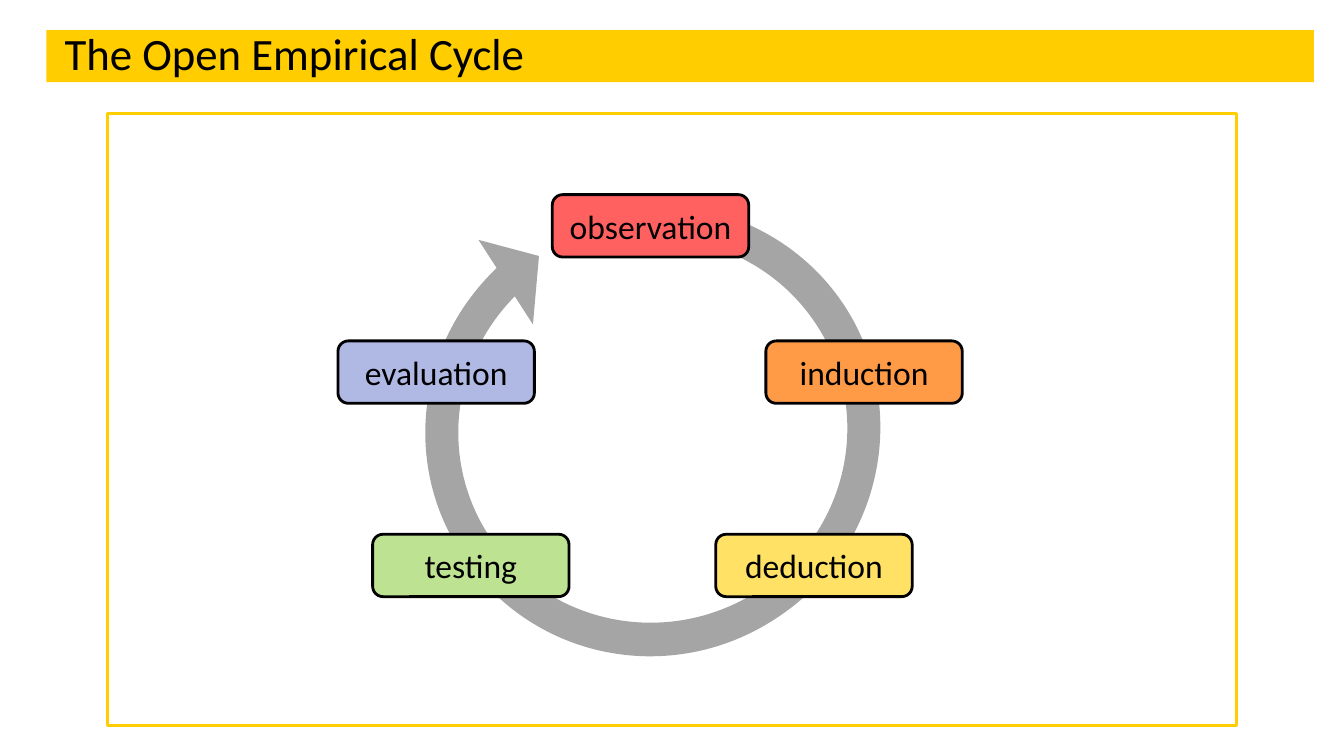
from lxml import etree
from pptx import Presentation
from pptx import util as u
from pptx.dml.color import RGBColor
from pptx.enum import shapes, text
from pptx.oxml.ns import qn

Pt = u.Pt
FONT = "Calibri"
BLACK = RGBColor(0x00, 0x00, 0x00)
WHITE = RGBColor(0xFF, 0xFF, 0xFF)
GOLD = RGBColor(0xFF, 0xCD, 0x00)
GREY = RGBColor(0xA5, 0xA5, 0xA5)
RED = RGBColor(0xFF, 0x61, 0x61)
BLUE = RGBColor(0xB0, 0xB8, 0xE4)
GREEN = RGBColor(0xBC, 0xE2, 0x92)
YELLOW = RGBColor(0xFF, 0xE1, 0x66)
ORANGE = RGBColor(0xFF, 0x9A, 0x47)

# Content: label, left, top, fill
TITLE = "The Open Empirical Cycle"
STEPS = [
    ("observation", 394.7, 139, RED),
    ("evaluation", 241.5, 243.5, BLUE),
    ("testing", 266.3, 381.6, GREEN),
    ("deduction", 511.5, 381.6, YELLOW),
    ("induction", 547.3, 243.5, ORANGE),
]

# Layout
BANNER = (33.1, 21.6, 905.8, 37.1)
CORNER = (18.7, 6.3)
FRAME = (76.6, 81.2, 807.1, 437)
STEP_SIZE = (140.4, 44.6)

# Circular arrow: one point starts or draws a line, three draw a curve
RING_BOX = (281.5, 120.2, 369.4, 374.4)
RING = [
    [(404.6, 159.1)],
    [(481.7, 126.7), (571.7, 157.7), (610.6, 230.4)],
    [(649.4, 303.8), (625.7, 395.3), (555.1, 441.4)],
    [(484.6, 488.2), (391, 473.8), (339.1, 408.2)],
    [(286.6, 343.4), (293.8, 249.8), (355, 191.5)],
    [(342, 171.4)], [(385.2, 182.9)], [(380.9, 231.8)], [(367.9, 211.7)],
    [(317.5, 262.8), (313.9, 342), (359.3, 396)],
    [(404.6, 450), (484.6, 460.8), (544.3, 420.5)],
    [(603.4, 380.9), (622.8, 303.1), (589, 241.2)],
    [(555.1, 179.3), (479.5, 153.4), (413.3, 180.7)],
]


def banner_outline():
    """Rectangle with flat elliptical corners."""
    left, top, width, height = BANNER
    right, bottom = left + width, top + height
    rx, ry = CORNER
    kx, ky = 0.45 * rx, 0.45 * ry
    return [
        [(left, top + ry)],
        [(left, top + ky), (left + kx, top), (left + rx, top)],
        [(right - rx, top)],
        [(right - kx, top), (right, top + ky), (right, top + ry)],
        [(right, bottom - ry)],
        [(right, bottom - ky), (right - kx, bottom), (right - rx, bottom)],
        [(left + rx, bottom)],
        [(left + kx, bottom), (left, bottom - ky), (left, bottom - ry)],
    ]


def place(shape, box):
    shape.left, shape.top, shape.width, shape.height = map(Pt, box)


def paint(shape, color):
    shape.fill.solid()
    shape.fill.fore_color.rgb = color


def draw_path(path, box, segments):
    """Fill a path element with lines and curves placed within the box."""
    left, top, width, height = box
    for child in list(path):
        path.remove(child)
    path.set("w", str(Pt(width)))
    path.set("h", str(Pt(height)))
    for i, points in enumerate(segments):
        tag = "a:cubicBezTo" if len(points) == 3 else "a:lnTo" if i else "a:moveTo"
        step = etree.SubElement(path, qn(tag))
        for x, y in points:
            etree.SubElement(step, qn("a:pt"), x=str(Pt(x - left)), y=str(Pt(y - top)))
    etree.SubElement(path, qn("a:close"))


def add_outline(slide, box, segments, color):
    ends = [(Pt(points[-1][0]), Pt(points[-1][1])) for points in segments]
    builder = slide.shapes.build_freeform(*ends[0])
    builder.add_line_segments(ends[1:], close=True)
    shape = builder.convert_to_shape()
    draw_path(shape._element.find(".//" + qn("a:path")), box, segments)
    place(shape, box)
    shape.shadow.inherit = False
    paint(shape, color)
    shape.line.fill.background()
    return shape


def add_box(slide, kind, box, fill, line):
    shape = slide.shapes.add_shape(kind, *map(Pt, box))
    shape.shadow.inherit = False
    paint(shape, fill)
    shape.line.color.rgb = line
    shape.line.width = Pt(2)
    return shape


def write(shape, words, size, align, inset_x, inset_y):
    frame = shape.text_frame
    frame.word_wrap = True
    frame.auto_size = text.MSO_AUTO_SIZE.NONE
    frame.vertical_anchor = text.MSO_ANCHOR.MIDDLE
    frame.margin_left = frame.margin_right = Pt(inset_x)
    frame.margin_top = frame.margin_bottom = Pt(inset_y)
    paragraph = frame.paragraphs[0]
    paragraph.alignment = align
    run = paragraph.add_run()
    run.text = words
    run.font.name = FONT
    run.font.size = Pt(size)
    run.font.color.rgb = BLACK
    return paragraph


def main():
    presentation = Presentation()
    presentation.slide_width, presentation.slide_height = Pt(960.48), Pt(540)
    slide = presentation.slides.add_slide(presentation.slide_layouts[5])

    # Frame, slightly see-through
    frame = add_box(slide, shapes.MSO_SHAPE.RECTANGLE, FRAME, WHITE, GOLD)
    color = frame._element.spPr.find(qn("a:solidFill"))[0]
    etree.SubElement(color, qn("a:alpha"), val="90000")

    # Title placeholder shaped as the banner, in front of the frame
    title = slide.shapes.title
    place(title, BANNER)
    geometry = etree.Element(qn("a:custGeom"))
    for tag in ("a:avLst", "a:gdLst", "a:ahLst", "a:cxnLst"):
        etree.SubElement(geometry, qn(tag))
    etree.SubElement(geometry, qn("a:rect"), l="0", t="0", r="r", b="b")
    paths = etree.SubElement(geometry, qn("a:pathLst"))
    draw_path(etree.SubElement(paths, qn("a:path")), BANNER, banner_outline())
    title._element.spPr.insert(1, geometry)
    paint(title, GOLD)
    paragraph = write(title, TITLE, 32, text.PP_ALIGN.LEFT, 13, 2.2)
    paragraph.line_spacing = 0.9
    slide.shapes._spTree.append(title._element)

    # Circular arrow
    add_outline(slide, RING_BOX, RING, GREY)

    # Steps of the cycle
    for label, left, top, fill in STEPS:
        step = add_box(slide, shapes.MSO_SHAPE.ROUNDED_RECTANGLE,
                       (left, top, *STEP_SIZE), fill, BLACK)
        write(step, label, 24, text.PP_ALIGN.CENTER, 5, 2.9)

    presentation.save("out.pptx")


if __name__ == "__main__":
    main()
